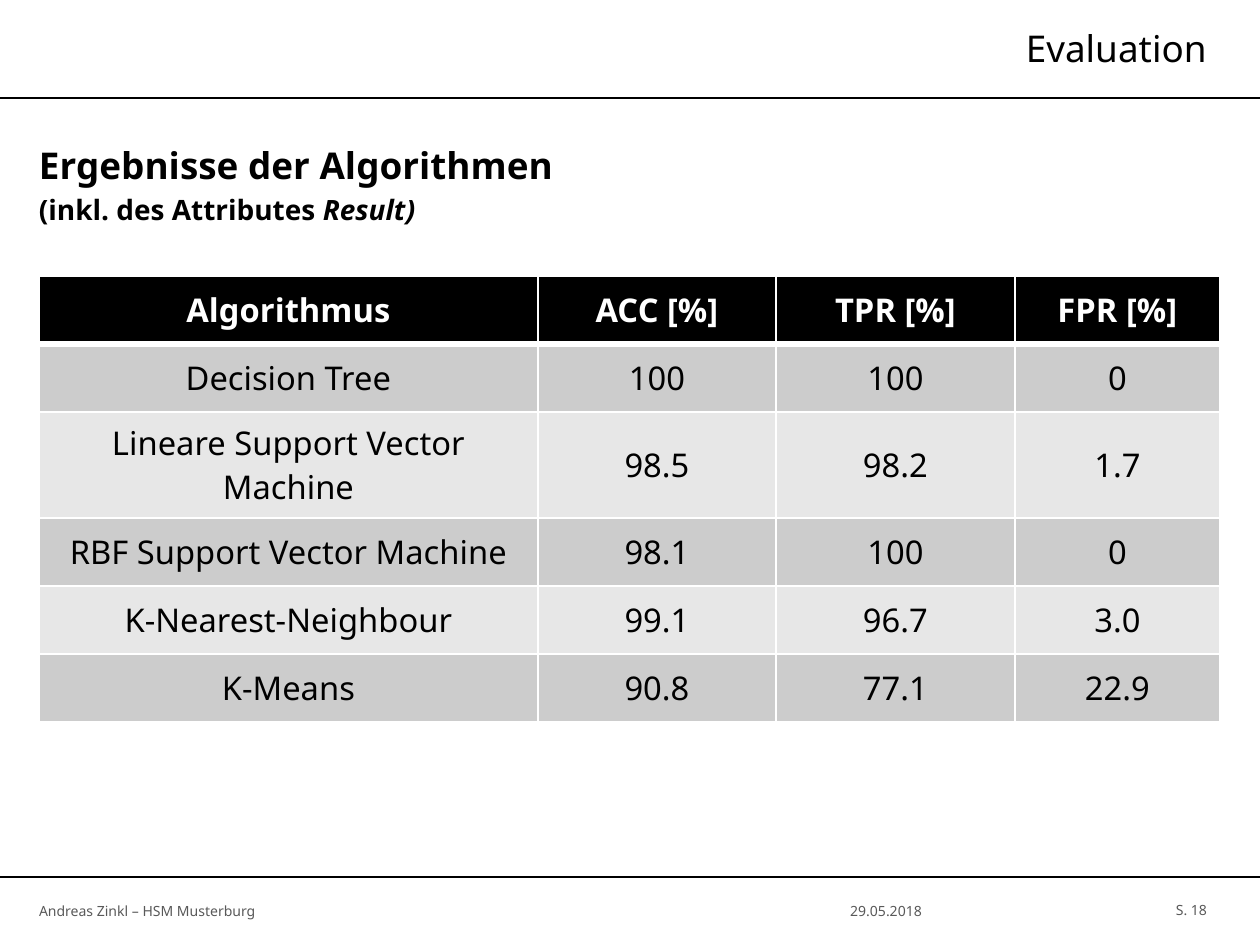
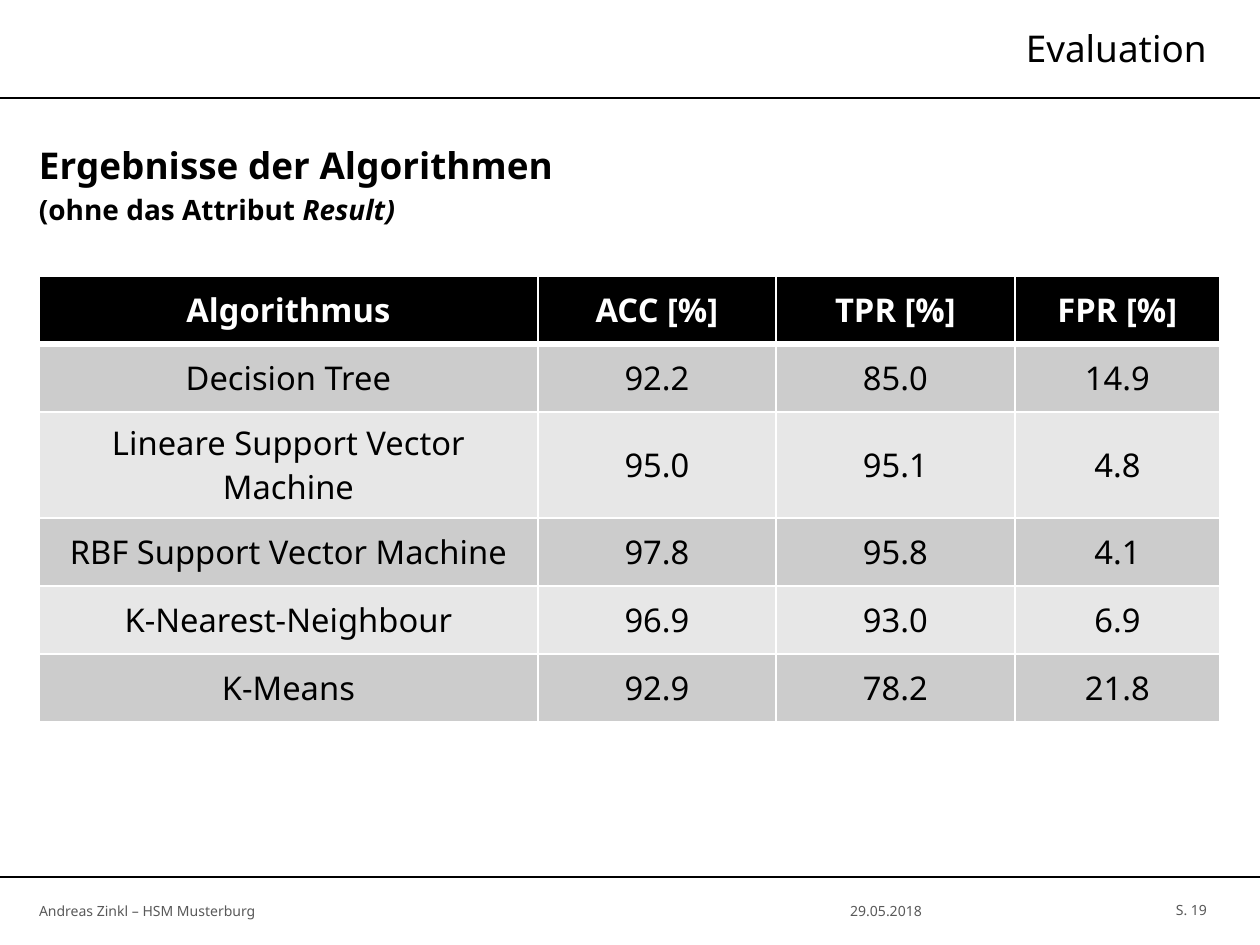
from dataclasses import dataclass

from lxml.etree import SubElement
from pptx import Presentation
from pptx.dml.color import RGBColor
from pptx.enum.shapes import MSO_CONNECTOR as Connector
from pptx.enum.text import MSO_ANCHOR as Anchor, MSO_AUTO_SIZE as AutoSize, PP_ALIGN as Align
from pptx.oxml import parse_xml
from pptx.oxml.ns import nsdecls, qn
from pptx.util import Emu, Pt


@dataclass(frozen=True)
class Theme:
    font: str = "Noto Sans"
    ink: str = "000000"
    paper: str = "FFFFFF"
    muted: str = "595959"
    dark_band: str = "CCCCCC"
    light_band: str = "E7E7E7"
    heading_size: float = 15.8
    cell_size: float = 14
    subheading_size: float = 12
    footer_size: float = 6
    rule: float = 1
    header_rule: float = 3


THEME = Theme()
EMU_PER_PX = 914400 / 168
WIDTH, HEIGHT = 1260, 945
MARGIN, CONTENT_WIDTH = 39, 1181
HEADER_LINE, FOOTER_LINE, FOOTER_HEIGHT = 98, 877, 67
COLUMNS = (499, 238, 239, 205)
ROW_HEIGHT = 68
TABLE_HEAD = ("Algorithmus", "ACC [%]", "TPR [%]", "FPR [%]")
ALGORITHMS = (
    "Decision Tree",
    "Lineare Support Vector Machine",
    "RBF Support Vector Machine",
    "K-Nearest-Neighbour",
    "K-Means",
)
EVALUATIONS = (
    ("S. 18", "(inkl. des Attributes ", (
        ("100", "100", "0"),
        ("98.5", "98.2", "1.7"),
        ("98.1", "100", "0"),
        ("99.1", "96.7", "3.0"),
        ("90.8", "77.1", "22.9"),
    )),
    ("S. 19", "(ohne das Attribut ", (
        ("92.2", "85.0", "14.9"),
        ("95.0", "95.1", "4.8"),
        ("97.8", "95.8", "4.1"),
        ("96.9", "93.0", "6.9"),
        ("92.9", "78.2", "21.8"),
    )),
)


def px(length):
    return Emu(round(length * EMU_PER_PX))


def write(paragraph, text, *, size, color=THEME.ink, bold=False, italic=False,
          align=Align.LEFT, before=0):
    paragraph.alignment = align
    paragraph.space_before = Pt(before)
    run = paragraph.add_run()
    run.text = text
    font = run.font
    font.name, font.size = THEME.font, Pt(size)
    font.bold, font.italic = bold, italic
    font.color.rgb = RGBColor.from_string(color)


def prepare_frame(shape, left_inset=0, right_inset=12):
    frame = shape.text_frame
    frame.word_wrap = True
    frame.auto_size = AutoSize.NONE
    frame.vertical_anchor = Anchor.MIDDLE
    frame.margin_left, frame.margin_right = px(left_inset), px(right_inset)
    frame.margin_top = frame.margin_bottom = px(6)
    return frame


def add_frame(slide, left, top, width, height, **insets):
    box = slide.shapes.add_textbox(px(left), px(top), px(width), px(height))
    return prepare_frame(box, **insets)


def add_rule(slide, y):
    rule = slide.shapes.add_connector(Connector.STRAIGHT, 0, px(y), px(WIDTH), px(y))
    rule.line.color.rgb = RGBColor.from_string(THEME.ink)
    rule.line.width = Pt(THEME.rule)
    SubElement(rule._element.spPr, qn("a:effectLst"))


def set_title(slide, text):
    title = slide.shapes.title
    title.left, title.top, title.width, title.height = px(371), px(18), px(848), px(59)
    write(prepare_frame(title).paragraphs[0], text,
          size=THEME.heading_size, align=Align.RIGHT)


def add_footer(slide, page):
    parts = (
        ("Andreas Zinkl – HSM Musterburg", MARGIN, FOOTER_LINE, 621, 0, Align.LEFT),
        ("29.05.2018", 660, FOOTER_LINE, 452, 12, Align.CENTER),
        (page, 1110, FOOTER_LINE - 1, 109, 12, Align.RIGHT),
    )
    for text, left, top, width, inset, align in parts:
        frame = add_frame(slide, left, top, width, FOOTER_HEIGHT, left_inset=inset)
        write(frame.paragraphs[0], text, size=THEME.footer_size,
              color=THEME.muted, align=align)


def add_heading(slide, scope):
    frame = add_frame(slide, MARGIN, 109, CONTENT_WIDTH, 151, right_inset=0)
    write(frame.paragraphs[0], "Ergebnisse der Algorithmen",
          size=THEME.heading_size, bold=True, before=3.2)
    subheading = frame.add_paragraph()
    for text, italic in ((scope, False), ("Result)", True)):
        write(subheading, text, size=THEME.subheading_size, bold=True,
              italic=italic, before=2.4)


def set_borders(cell, top, bottom):
    widths = {"lnL": THEME.rule, "lnR": THEME.rule, "lnT": top, "lnB": bottom}
    properties = cell._tc.get_or_add_tcPr()
    for position, (side, width) in enumerate(widths.items()):
        properties.insert(position, parse_xml(
            f'<a:{side} {nsdecls("a")} w="{Pt(width)}"><a:solidFill>'
            f'<a:srgbClr val="{THEME.paper}"/></a:solidFill></a:{side}>'))


def format_cell(cell, text, row):
    header = row == 0
    band = THEME.dark_band if row % 2 else THEME.light_band
    cell.fill.solid()
    cell.fill.fore_color.rgb = RGBColor.from_string(THEME.ink if header else band)
    cell.vertical_anchor = Anchor.MIDDLE
    set_borders(cell,
                top=THEME.header_rule if row == 1 else THEME.rule,
                bottom=THEME.header_rule if header else THEME.rule)
    write(cell.text_frame.paragraphs[0], text, size=THEME.cell_size, bold=header,
          color=THEME.paper if header else THEME.ink, align=Align.CENTER)


def add_results(slide, scores):
    rows = [TABLE_HEAD, *((name, *values) for name, values in zip(ALGORITHMS, scores))]
    results = slide.shapes.add_table(
        len(rows), len(COLUMNS), px(MARGIN), px(276),
        px(CONTENT_WIDTH), px(ROW_HEIGHT * len(rows))).table
    results.horz_banding = False
    for column, width in zip(results.columns, COLUMNS):
        column.width = px(width)
    for row, texts in enumerate(rows):
        results.rows[row].height = px(ROW_HEIGHT)
        for column, text in enumerate(texts):
            format_cell(results.cell(row, column), text, row)


def add_evaluation(deck, page, scope, scores):
    slide = deck.slides.add_slide(deck.slide_layouts[5])
    for y in (HEADER_LINE, FOOTER_LINE):
        add_rule(slide, y)
    set_title(slide, "Evaluation")
    add_heading(slide, scope)
    add_results(slide, scores)
    add_footer(slide, page)


def main():
    deck = Presentation()
    deck.slide_width, deck.slide_height = px(WIDTH), px(HEIGHT)
    for evaluation in EVALUATIONS:
        add_evaluation(deck, *evaluation)
    deck.save("out.pptx")


if __name__ == "__main__":
    main()
